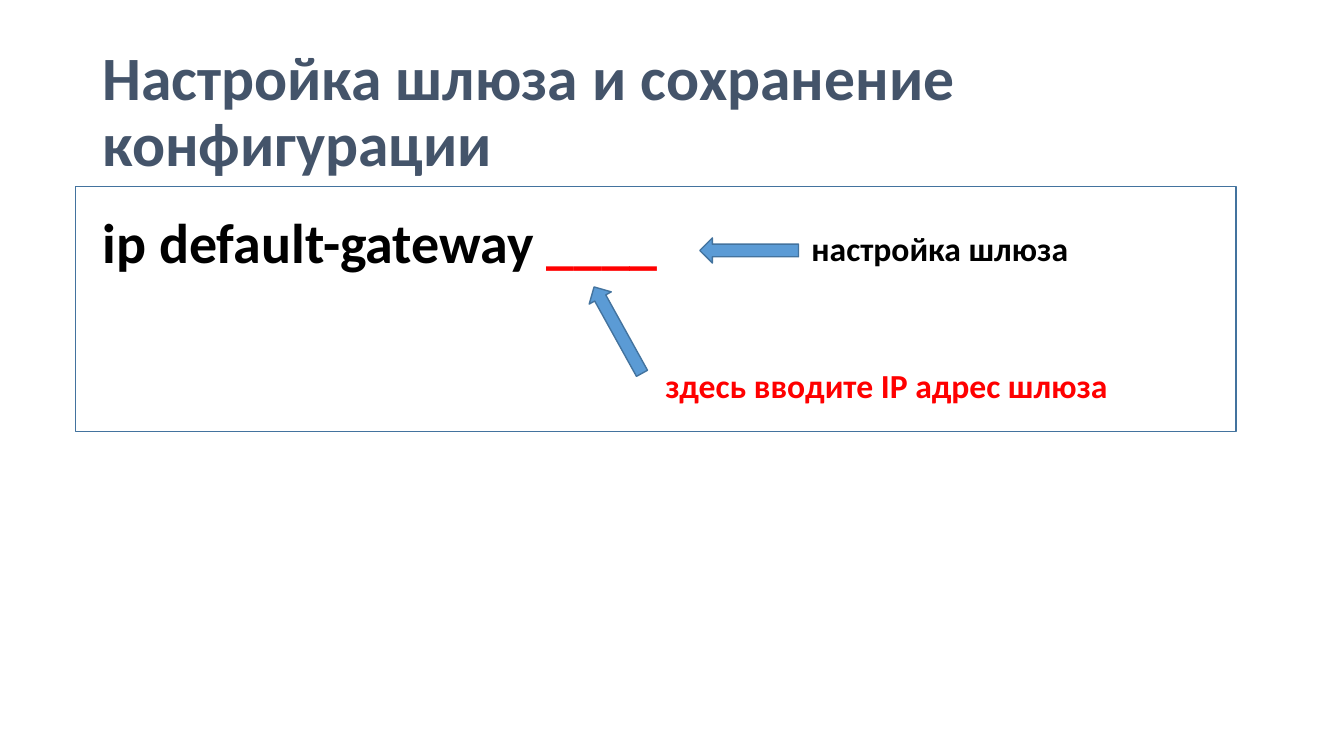
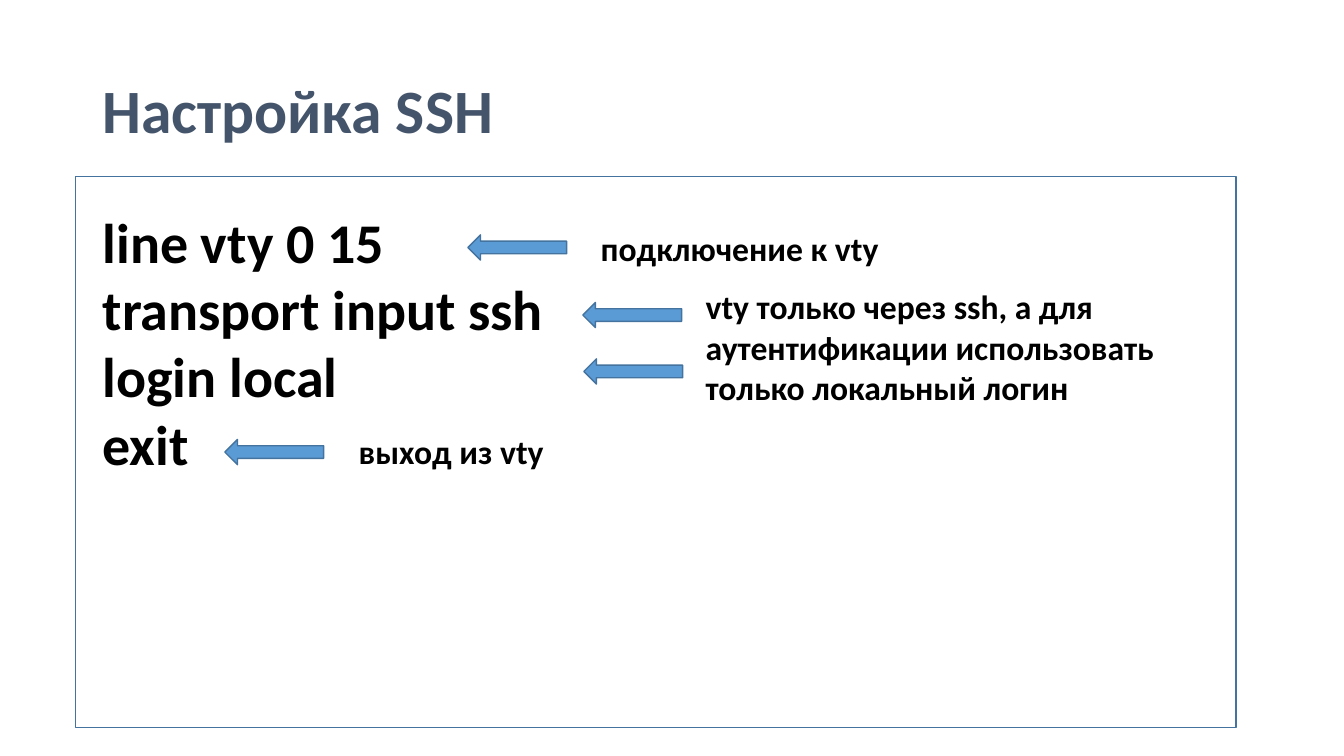
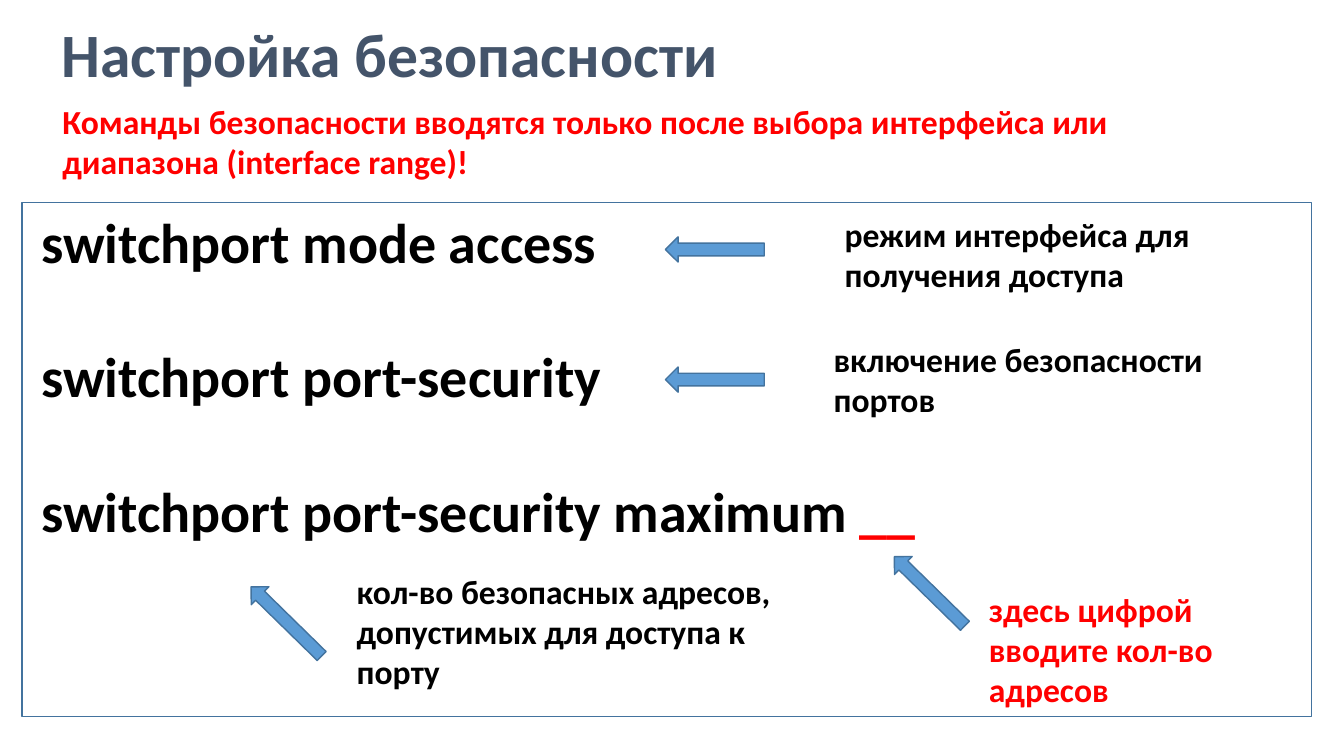
from dataclasses import dataclass

from pptx import Presentation
from pptx import util as u
from pptx.dml.color import RGBColor
from pptx.enum import shapes, text

PX = 9144  # EMU, 100 px to the inch
FONT = "Calibri"
TITLE, BLACK, RED = "44546A", "000000", "FF0000"
ARROW_FILL, OUTLINE = "5B9BD5", "43739E"
TITLE_SIZE, COMMAND_SIZE, NOTE_SIZE = 44, 40, 24
ARROW_W, ARROW_H = 98, 25


@dataclass(frozen=True)
class Box:
    x: int
    y: int
    w: int
    h: int


@dataclass(frozen=True)
class Command:
    words: str
    blank: str = ""  # red gap to be filled in


@dataclass(frozen=True)
class Note:
    words: str
    box: Box
    color: str = BLACK


@dataclass(frozen=True)
class Arrow:
    x: int
    y: int
    angle: float = 180


@dataclass(frozen=True)
class CommandSlide:
    title: str
    title_box: Box
    frame: Box
    commands_box: Box
    commands: list[Command]
    notes: list[Note]
    arrows: list[Arrow]
    gap: int = 0  # points between commands


TITLE_BOX = Box(92, 40, 1150, 145)

SLIDES = [
    CommandSlide(
        "Настройка шлюза и сохранение конфигурации", TITLE_BOX,
        frame=Box(75, 185, 1151, 243),
        commands_box=Box(92, 201, 579, 77),
        commands=[Command("ip default-gateway ", "____")],
        notes=[
            Note("настройка шлюза", Box(795, 221, 473, 50)),
            Note("здесь вводите IP адрес шлюза", Box(650, 357, 672, 50), RED),
        ],
        arrows=[Arrow(694, 236), Arrow(564, 315, 241)],
    ),
    CommandSlide(
        "Настройка SSH", TITLE_BOX,
        frame=Box(75, 175, 1151, 547),
        commands_box=Box(92, 201, 494, 347),
        commands=[Command("line vty 0 15"), Command("transport input ssh"),
                  Command("login local"), Command("exit")],
        notes=[
            Note("подключение к vty", Box(586, 221, 473, 50)),
            Note("vty только через ssh, а для аутентификации использовать "
                 "только локальный логин", Box(690, 279, 473, 131)),
            Note("выход из vty", Box(346, 423, 473, 50)),
        ],
        arrows=[Arrow(464, 233), Arrow(578, 300), Arrow(579, 356), Arrow(223, 436)],
    ),
    CommandSlide(
        "Настройка безопасности", Box(51, -15, 1150, 145),
        frame=Box(22, 201, 1279, 510),
        commands_box=Box(31, 201, 1140, 347),
        commands=[Command("switchport mode access"), Command("switchport port-security"),
                  Command("switchport port-security maximum ", "__")],
        notes=[
            Note("Команды безопасности вводятся только после выбора интерфейса "
                 "или диапазона (interface range)!", Box(52, 95, 1218, 91), RED),
            Note("режим интерфейса для получения доступа", Box(828, 207, 473, 91)),
            Note("включение безопасности портов", Box(817, 331, 473, 91)),
            Note("кол-во безопасных адресов, допустимых для доступа к порту",
                 Box(344, 561, 473, 131)),
            Note("здесь цифрой вводите кол-во адресов", Box(971, 579, 336, 131), RED),
        ],
        arrows=[Arrow(660, 235), Arrow(660, 364),
                Arrow(235, 604, 224.4), Arrow(873, 574, 224.4)],
        gap=48,
    ),
]


def rgb(color: str) -> RGBColor:
    return RGBColor.from_string(color)


def emu(box: Box) -> list[int]:
    return [v * PX for v in (box.x, box.y, box.w, box.h)]


def add_text_frame(s, box: Box):
    tf = s.shapes.add_textbox(*emu(box)).text_frame
    tf.word_wrap = True
    return tf


def add_run(p, words: str, size: int, color: str) -> None:
    r = p.add_run()
    r.text = words
    r.font.name, r.font.size, r.font.bold = FONT, u.Pt(size), True
    r.font.color.rgb = rgb(color)


def add_title(s, words: str, box: Box) -> None:
    tf = add_text_frame(s, box)
    tf.vertical_anchor = text.MSO_ANCHOR.MIDDLE
    p = tf.paragraphs[0]
    p.line_spacing = 0.9
    add_run(p, words, TITLE_SIZE, TITLE)


def add_commands(s, box: Box, commands: list[Command], gap: int) -> None:
    tf = add_text_frame(s, box)
    for i, command in enumerate(commands):
        p = tf.add_paragraph() if i else tf.paragraphs[0]
        if i and gap:
            p.space_before = u.Pt(gap)
        add_run(p, command.words, COMMAND_SIZE, BLACK)
        if command.blank:
            add_run(p, command.blank, COMMAND_SIZE, RED)


def add_note(s, note: Note) -> None:
    tf = add_text_frame(s, note.box)
    add_run(tf.paragraphs[0], note.words, NOTE_SIZE, note.color)


def add_outlined(s, kind: shapes.MSO_SHAPE, box: Box):
    sp = s.shapes.add_shape(kind, *emu(box))
    sp.shadow.inherit = False
    sp.line.color.rgb = rgb(OUTLINE)
    sp.line.width = u.Pt(1)
    return sp


def add_frame(s, box: Box) -> None:
    add_outlined(s, shapes.MSO_SHAPE.RECTANGLE, box).fill.background()


def add_arrow(s, arrow: Arrow) -> None:
    box = Box(arrow.x, arrow.y, ARROW_W, ARROW_H)
    sp = add_outlined(s, shapes.MSO_SHAPE.RIGHT_ARROW, box)
    sp.rotation = arrow.angle
    sp.fill.solid()
    sp.fill.fore_color.rgb = rgb(ARROW_FILL)


def add_command_slide(prs, content: CommandSlide) -> None:
    s = prs.slides.add_slide(prs.slide_layouts[6])
    add_title(s, content.title, content.title_box)
    add_frame(s, content.frame)
    add_commands(s, content.commands_box, content.commands, content.gap)
    for note in content.notes:
        add_note(s, note)
    for arrow in content.arrows:
        add_arrow(s, arrow)


def main() -> None:
    prs = Presentation()
    prs.slide_width, prs.slide_height = 1333 * PX, 750 * PX
    for content in SLIDES:
        add_command_slide(prs, content)
    prs.save("out.pptx")


if __name__ == "__main__":
    main()
